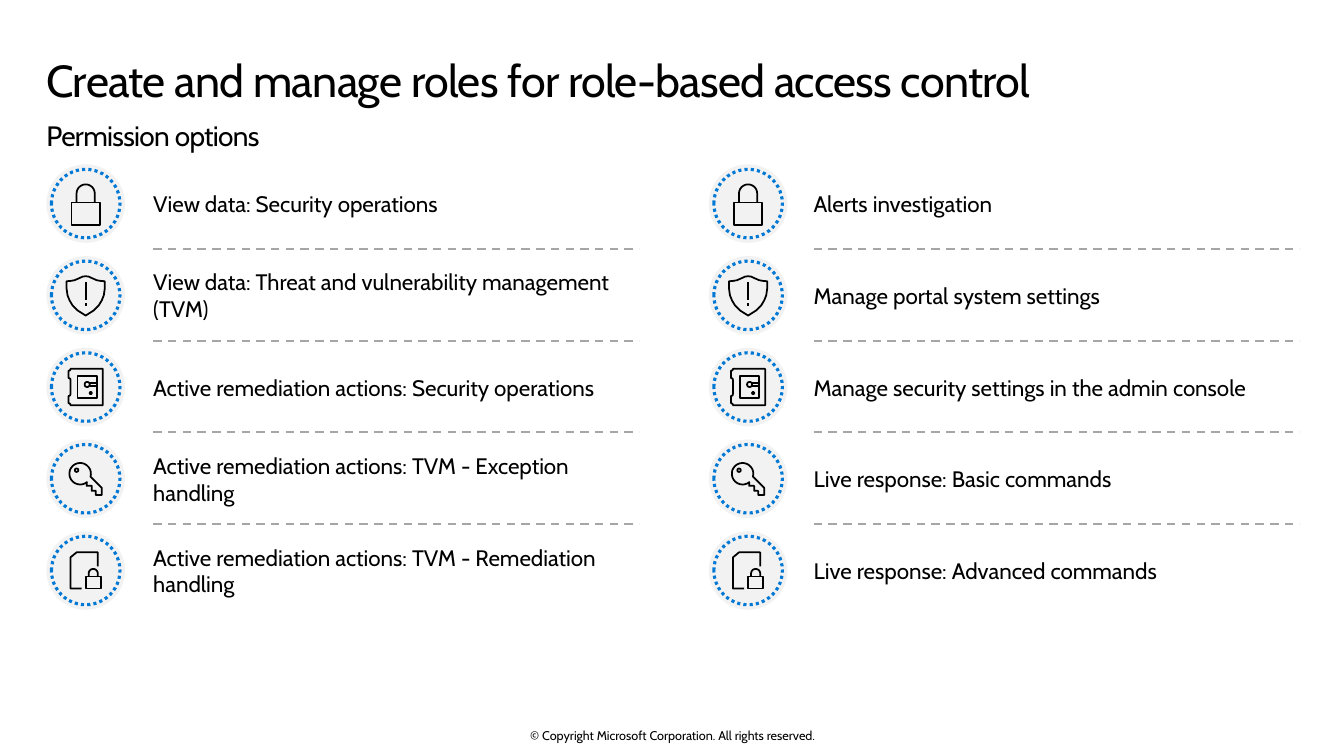
from math import cos, radians, sin

from lxml.etree import SubElement
from pptx import Presentation
from pptx.dml.color import RGBColor
from pptx.enum.dml import MSO_LINE
from pptx.enum.shapes import MSO_CONNECTOR, MSO_SHAPE
from pptx.enum.text import MSO_ANCHOR, PP_ALIGN
from pptx.oxml.ns import qn
from pptx.util import Inches, Pt


def write(box, text, size, anchor, align=PP_ALIGN.LEFT, spacing=0, margins=(0, 0, 0, 0)):
    frame = box.text_frame
    left, top, right, bottom = margins
    frame_format = {
        "word_wrap": True,
        "vertical_anchor": anchor,
        "margin_left": Inches(left),
        "margin_top": Inches(top),
        "margin_right": Inches(right),
        "margin_bottom": Inches(bottom),
    }
    for name, value in frame_format.items():
        setattr(frame, name, value)
    para = frame.paragraphs[0]
    para.alignment = align
    span = para.add_run()
    span.text = text
    for name, value in {"name": "Cabin", "size": Pt(size), "bold": False}.items():
        setattr(span.font, name, value)
    span.font.color.rgb = RGBColor.from_string("000000")
    if spacing:
        span.font._element.set("spc", str(spacing))
    return para


def arc(x, y, radius, start=0, end=360):
    angles = [radians(start + (end - start) * step / 24) for step in range(25)]
    return [(x + radius * cos(angle), y + radius * sin(angle)) for angle in angles]


shield_half = [
    (390, 200), (360, 204), (330, 218), (280, 240), (240, 247), (200, 250),
    (200, 320), (210, 390), (230, 440), (260, 490), (310, 540), (390, 590),
]
shield_mirror = [(780 - x, y) for x, y in reversed(shield_half[1:-1])]

lock = [
    ([(250, 380), (530, 380), (530, 600), (250, 600)], True),
    ([(480, 380), *arc(390, 290, 90, 0, -180), (300, 380)], False),
]
shield = [
    (shield_half + shield_mirror, True),
    ([(390, 260), (390, 440)], False),
    ([(390, 470), (390, 500)], False),
]
safe = [
    ([(560, 210), (560, 570), (240, 570), (236, 556), (220, 550), (220, 480), (236, 474),
      (240, 460), (240, 320), (236, 306), (220, 300), (220, 230), (236, 224), (240, 210)], True),
    ([(310, 280), (500, 280), (500, 500), (310, 500)], True),
    (arc(405, 365, 25), True),
    (arc(440, 450, 10), True),
    ([(430, 350), (500, 350)], False),
    ([(430, 380), (500, 380)], False),
]
key = [
    ([*arc(335, 340, 107, 51, 376), (550, 480), (550, 550), (490, 550),
      (490, 510), (450, 510), (450, 460), (400, 460)], True),
    (arc(300, 305, 17), True),
]
locked_file = [
    ([(350, 570), (240, 570), (240, 260), (300, 210), (510, 210), (510, 350)], False),
    ([(390, 450), (540, 450), (540, 570), (390, 570)], True),
    ([(510, 450), *arc(465, 420, 45, 0, -180), (420, 450)], False),
]
icons = [lock, shield, safe, key, locked_file]

columns = [
    (0.46, 1.52, [
        "View data: Security operations",
        "View data: Threat and vulnerability management (TVM)",
        "Active remediation actions: Security operations",
        "Active remediation actions: TVM - Exception handling",
        "Active remediation actions: TVM - Remediation handling",
    ]),
    (7.03, 8.07, [
        "Alerts investigation",
        "Manage portal system settings",
        "Manage security settings in the admin console",
        "Live response: Basic commands",
        "Live response: Advanced commands",
    ]),
]
row_pitch = 0.91

deck = Presentation()
deck.slide_width = Inches(13.33)
deck.slide_height = Inches(7.5)
page = deck.slides.add_slide(deck.slide_layouts[5])

title = page.shapes.title
title_place = {"left": 0.46, "top": 0.48, "width": 12.4, "height": 0.74}
for name, value in title_place.items():
    setattr(title, name, Inches(value))
title_para = write(title, "Create and manage roles for role-based access control", 32,
                   MSO_ANCHOR.TOP, spacing=-50, margins=(0, 0.1, 0.16, 0.1))
title_para.line_spacing = 0.9

subtitle = page.shapes.add_textbox(Inches(0.46), Inches(1.18), Inches(12.4), Inches(0.34))
write(subtitle, "Permission options", 20, MSO_ANCHOR.TOP, spacing=-50)

for badge_left, text_left, permissions in columns:
    for row, (permission, icon) in enumerate(zip(permissions, icons)):
        shift = row * row_pitch
        badge_top = 1.63 + shift

        if row < len(permissions) - 1:
            divider_y = Inches(2.47 + shift)
            divider = page.shapes.add_connector(
                MSO_CONNECTOR.STRAIGHT, Inches(text_left), divider_y,
                Inches(text_left + 4.82), divider_y)
            divider.line.color.rgb = RGBColor.from_string("A6A6A6")
            divider.line.width = Pt(1.5)
            divider.line.dash_style = MSO_LINE.DASH
            SubElement(divider._element.spPr, qn("a:effectLst"))

        label = page.shapes.add_textbox(
            Inches(text_left), Inches(1.66 + shift), Inches(4.8), Inches(0.72))
        write(label, permission, 16, MSO_ANCHOR.MIDDLE)

        badge = page.shapes.add_group_shape()
        disc = badge.shapes.add_shape(
            MSO_SHAPE.OVAL, Inches(badge_left), Inches(badge_top), Inches(0.78), Inches(0.78))
        disc.shadow.inherit = False
        disc.fill.solid()
        disc.fill.fore_color.rgb = RGBColor.from_string("F2F2F2")
        disc.line.fill.background()

        ring = badge.shapes.add_shape(
            MSO_SHAPE.OVAL, Inches(badge_left + 0.05), Inches(badge_top + 0.05),
            Inches(0.68), Inches(0.68))
        builder = badge.shapes.build_freeform(*icon[0][0][0], scale=Inches(1) / 1000)
        for number, (points, closed) in enumerate(icon):
            if number:
                builder.move_to(*points[0])
            builder.add_line_segments(points[1:], close=closed)
        symbol = builder.convert_to_shape(Inches(badge_left), Inches(badge_top))

        for outline, color, width in ((ring, "0078D4", 2.25), (symbol, "000000", 1.25)):
            outline.shadow.inherit = False
            outline.fill.background()
            outline.line.color.rgb = RGBColor.from_string(color)
            outline.line.width = Pt(width)
        ring.line.dash_style = MSO_LINE.ROUND_DOT

copyright_line = page.shapes.add_textbox(Inches(4.42), Inches(7.22), Inches(4.5), Inches(0.15))
write(copyright_line, "© Copyright Microsoft Corporation. All rights reserved.", 9,
      MSO_ANCHOR.MIDDLE, PP_ALIGN.CENTER)

deck.save("out.pptx")
